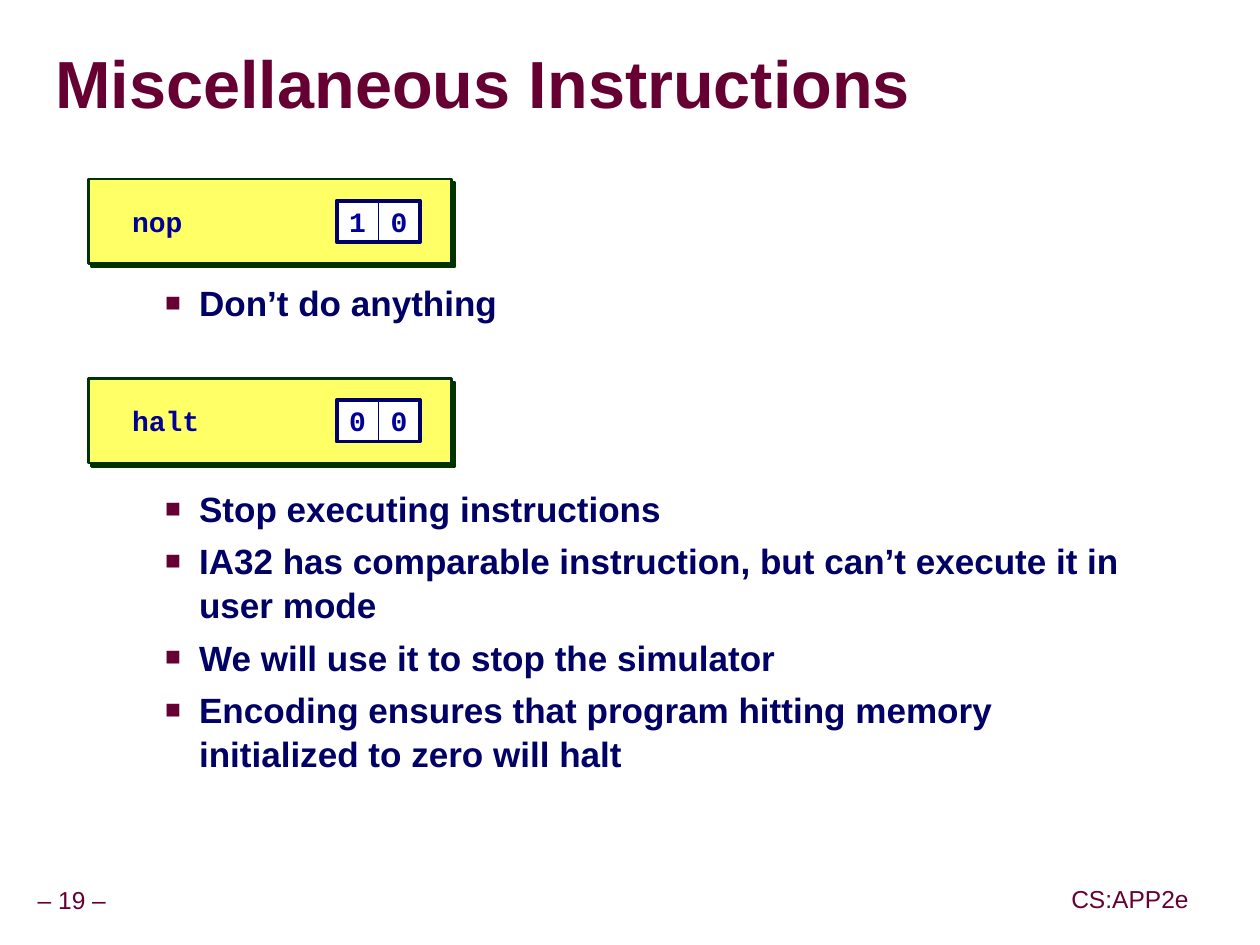
from lxml import etree
from pptx import Presentation
from pptx.dml.color import RGBColor
from pptx.enum.shapes import MSO_SHAPE
from pptx.enum.text import MSO_ANCHOR, MSO_AUTO_SIZE, PP_ALIGN
from pptx.oxml.ns import qn
from pptx.util import Inches, Pt

RECT = MSO_SHAPE.RECTANGLE
LEFT, CENTER = PP_ALIGN.LEFT, PP_ALIGN.CENTER
MIDDLE, TOP = MSO_ANCHOR.MIDDLE, MSO_ANCHOR.TOP
FIXED = MSO_AUTO_SIZE.NONE

MAROON, NAVY, BLUE = "660033", "000066", "000099"
YELLOW, GREEN, WHITE, GREY = "FFFF66", "003300", "FFFFFF", "969696"

HEAD = {"name": "Arial", "size": Pt(38), "bold": True, "color": MAROON}
BODY = {"name": "Arial", "size": Pt(20), "bold": True, "color": NAVY}
CODE = {"name": "Courier New", "size": Pt(16), "bold": True, "color": BLUE}
FOOT = {"name": "Arial", "size": Pt(14), "bold": False, "color": MAROON}

CELL = 0.33
CODES = [("nop", "10", 1.42), ("halt", "00", 3.0)]
FOOTERS = [("– 19 –", 0.24, 6.99, 0.66), ("CS:APP2e", 8.44, 6.98, 1.04)]
# Each point with the space before it, in points
POINTS = [
    ("Don’t do anything", 5),
    ("Stop executing instructions", 92.5),
    ("IA32 has comparable instruction, but can’t execute it in user mode", 5),
    ("We will use it to stop the simulator", 5),
    ("Encoding ensures that program hitting memory "
     "initialized to zero will halt", 5),
]


def rgb(code):
    return RGBColor.from_string(code)


def node(parent, tag, **attrs):
    return etree.SubElement(parent, qn(tag), attrs)


def shade(parent, color):
    """Add a hard shadow that falls to the lower right."""
    effect = node(parent, "a:effectLst")
    cast = node(effect, "a:outerShdw", blurRad="0", dist=str(Pt(2.8)),
                dir="2700000", algn="ctr", rotWithShape="0")
    node(cast, "a:srgbClr", val=color)
    return effect


class Deck:
    def __init__(self, wide, high):
        self.prs = Presentation()
        self.prs.slide_width, self.prs.slide_height = Inches(wide), Inches(high)
        layout = self.prs.slide_layouts.get_by_name("Title Only")
        self.slide = self.prs.slides.add_slide(layout)

    def frame(self, shape, pad=0, anchor=MIDDLE):
        frame = shape.text_frame
        style = {"word_wrap": True, "auto_size": FIXED,
                 "vertical_anchor": anchor}
        for side in ("left", "right", "top", "bottom"):
            style["margin_" + side] = Inches(pad)
        for key, value in style.items():
            setattr(frame, key, value)
        return frame

    def text(self, para, words, font, align=LEFT, lines=1.0):
        para.alignment, para.line_spacing = align, lines
        run = para.add_run()
        run.text = words
        for key, value in font.items():
            if key == "color":
                run.font.color.rgb = rgb(value)
            else:
                setattr(run.font, key, value)
        return run

    def title(self, words, *at):
        shape = self.slide.shapes.title
        for key, value in zip(("left", "top", "width", "height"), at):
            setattr(shape, key, Inches(value))
        para = self.frame(shape).paragraphs[0]
        run = self.text(para, words, HEAD, lines=0.87)
        props = run.font._element
        props.find(qn("a:solidFill")).addnext(shade(props, GREY))

    def label(self, home, words, font, at, pad=0, align=LEFT, lines=1.0):
        shape = home.add_textbox(*map(Inches, at))
        para = self.frame(shape, pad).paragraphs[0]
        self.text(para, words, font, align, lines)

    def box(self, home, at, fill, line, weight, words=""):
        shape = home.add_shape(RECT, *map(Inches, at))
        shape.shadow.inherit = False
        if fill:
            shape.fill.solid()
            shape.fill.fore_color.rgb = rgb(fill)
        else:
            shape.fill.background()
        shape.line.color.rgb = rgb(line)
        shape.line.width = Pt(weight)
        if words:
            para = self.frame(shape).paragraphs[0]
            self.text(para, words, CODE, CENTER)
        return shape

    def code(self, name, digits, top):
        """Draw an instruction card with its name and its encoding."""
        home = self.slide.shapes.add_group_shape().shapes
        card = self.box(home, (0.7, top, 2.88, 0.67), YELLOW, GREEN, 1.5)
        props = card._element.spPr
        props.remove(props.find(qn("a:effectLst")))
        shade(props, GREEN)
        row, left = top + 0.17, 2.67
        self.label(home, name, CODE, (0.95, row, 1.7, CELL), pad=0.1)
        for i, digit in enumerate(digits):
            at = (left + i * CELL, row, CELL, CELL)
            self.box(home, at, WHITE, NAVY, 0.5, digit)
        self.box(home, (left, row, len(digits) * CELL, CELL), None, NAVY, 2.25)

    def list(self, points, *at):
        shape = self.slide.shapes.add_textbox(*map(Inches, at))
        frame = self.frame(shape, 0.1, TOP)
        frame.margin_top = Inches(0.05)
        for i, (words, gap) in enumerate(points):
            para = frame.add_paragraph() if i else frame.paragraphs[0]
            self.text(para, words, BODY, lines=1.04)
            if i:
                para.space_before = Pt(gap)
            props = para._p.get_or_add_pPr()
            props.set("marL", str(Inches(0.81)))
            props.set("indent", str(Inches(-0.27)))
            node(node(props, "a:buClr"), "a:srgbClr", val=MAROON)
            node(props, "a:buSzPct", val="75000")
            node(props, "a:buFont", typeface="Arial")
            node(props, "a:buChar", char="■")


def main():
    deck = Deck(9.99, 7.49)
    for words, left, top, wide in FOOTERS:
        deck.label(deck.slide.shapes, words, FOOT, (left, top, wide, 0.31),
                   pad=0.05, align=CENTER, lines=0.9)
    deck.title("Miscellaneous Instructions", 0.44, 0.27, 9.52, 0.85)
    deck.list(POINTS, 0.67, 2.17, 8.42, 4.2)
    for name, digits, top in CODES:
        deck.code(name, digits, top)
    deck.prs.save("out.pptx")


if __name__ == "__main__":
    main()
